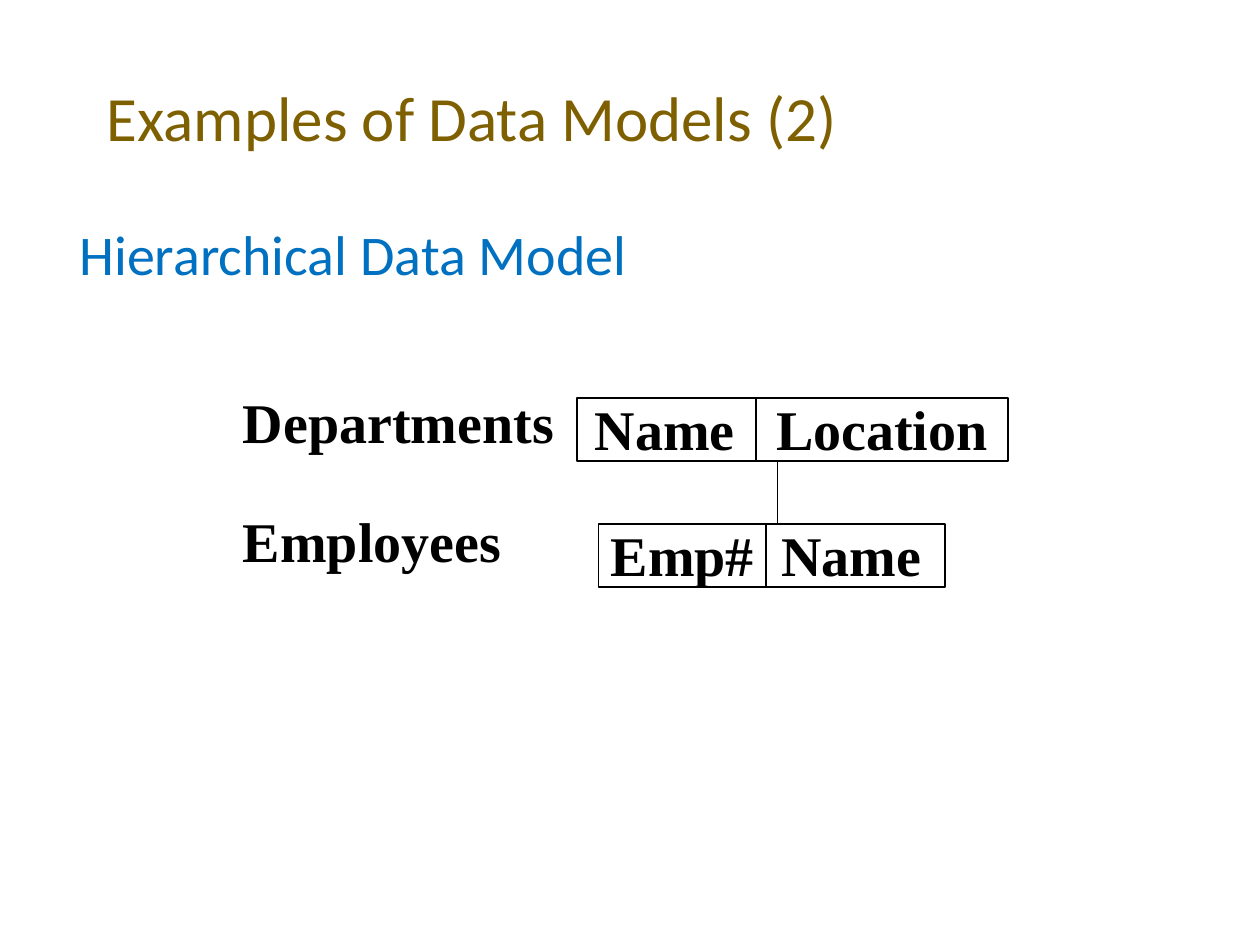
from lxml import etree
from pptx import Presentation
from pptx.dml.color import RGBColor
from pptx.enum.shapes import MSO_CONNECTOR, MSO_SHAPE
from pptx.enum.text import MSO_ANCHOR
from pptx.oxml.ns import qn
from pptx.util import Inches, Pt

BROWN = RGBColor(0x7F, 0x60, 0x00)
BLUE = RGBColor(0x00, 0x70, 0xC0)
BLACK = RGBColor(0x00, 0x00, 0x00)
RECTANGLE = MSO_SHAPE.RECTANGLE
STRAIGHT = MSO_CONNECTOR.STRAIGHT
TOP, MIDDLE = MSO_ANCHOR.TOP, MSO_ANCHOR.MIDDLE

HEADING_FONT = {"name": "Calibri", "bold": False}
RECORD_FONT = {"name": "Times New Roman", "bold": True, "size": Pt(32)}
HEADING_SPACING = {"line_spacing": 0.9}
LINE_WIDTH = Pt(0.75)


def add_text(page, box, text, font, color=BLACK, spacing=None, inset=0.1,
             anchor=TOP, wrap=True):
    text_box = page.shapes.add_textbox(*map(Inches, box))
    frame = text_box.text_frame
    frame.word_wrap = wrap
    frame.vertical_anchor = anchor
    frame.margin_left = Inches(inset)
    para = frame.paragraphs[0]
    for name, value in (spacing or {}).items():
        setattr(para, name, value)
    span = para.add_run()
    span.text = text
    for name, value in font.items():
        setattr(span.font, name, value)
    span.font.color.rgb = color
    return para


def add_tab_stop(para, position):
    properties = para._p.get_or_add_pPr()
    stops = etree.SubElement(properties, qn("a:tabLst"))
    etree.SubElement(stops, qn("a:tab"), pos=str(Inches(position)), algn="l")


def add_vertical_line(page, x, top, bottom):
    line = page.shapes.add_connector(
        STRAIGHT, Inches(x), Inches(top), Inches(x), Inches(bottom))
    line.line.color.rgb = BLACK
    line.line.width = LINE_WIDTH
    etree.SubElement(line._element.spPr, qn("a:effectLst"))


def add_record(page, box, fields, divider, text_starts):
    """Draw a two-field record; divider and text_starts are offsets from its left."""
    left, top, width, height = box
    frame = page.shapes.add_shape(RECTANGLE, *map(Inches, box))
    frame.shadow.inherit = False
    frame.fill.background()
    frame.line.color.rgb = BLACK
    frame.line.width = LINE_WIDTH
    add_vertical_line(page, left + divider, top, top + height)

    first, second = text_starts
    para = add_text(page, (left, top - 0.08, width, 0.64), "\t".join(fields),
                    RECORD_FONT, inset=first)
    add_tab_stop(para, second - first)


def add_headings(page):
    add_text(page, (0.75, 0.5, 8.5, 0.92), "Examples of Data Models (2)",
             {**HEADING_FONT, "size": Pt(36)}, BROWN, HEADING_SPACING,
             anchor=MIDDLE)
    add_text(page, (0.33, 1.75, 9.33, 5.25), "Hierarchical Data Model",
             {**HEADING_FONT, "size": Pt(32)}, BLUE,
             {**HEADING_SPACING, "space_before": Pt(7.5)}, inset=0.3)


def add_hierarchy(page, left, top):
    row_gap, row_height = 1, 0.5
    add_text(page, (left, top - 0.13, 2.67, 0.64), "Departments",
             RECORD_FONT, wrap=False)
    add_text(page, (left, top + 0.81, 2.25, 0.64), "Employees",
             RECORD_FONT, wrap=False)
    add_record(page, (left + 2.75, top, 3.42, row_height),
               ("Name", "Location"), 1.42, (0.14, 1.58))
    add_record(page, (left + 2.92, top + row_gap, 2.75, row_height),
               ("Emp#", "Name"), 1.33, (0.1, 1.45))
    add_vertical_line(page, left + 4.34, top + row_height, top + row_gap)


def main():
    deck = Presentation()
    deck.slide_width, deck.slide_height = Inches(10), Inches(7.5)
    page = deck.slides.add_slide(deck.slide_layouts[6])
    add_headings(page)
    add_hierarchy(page, left=1.83, top=3.16)
    deck.save("out.pptx")


if __name__ == "__main__":
    main()
